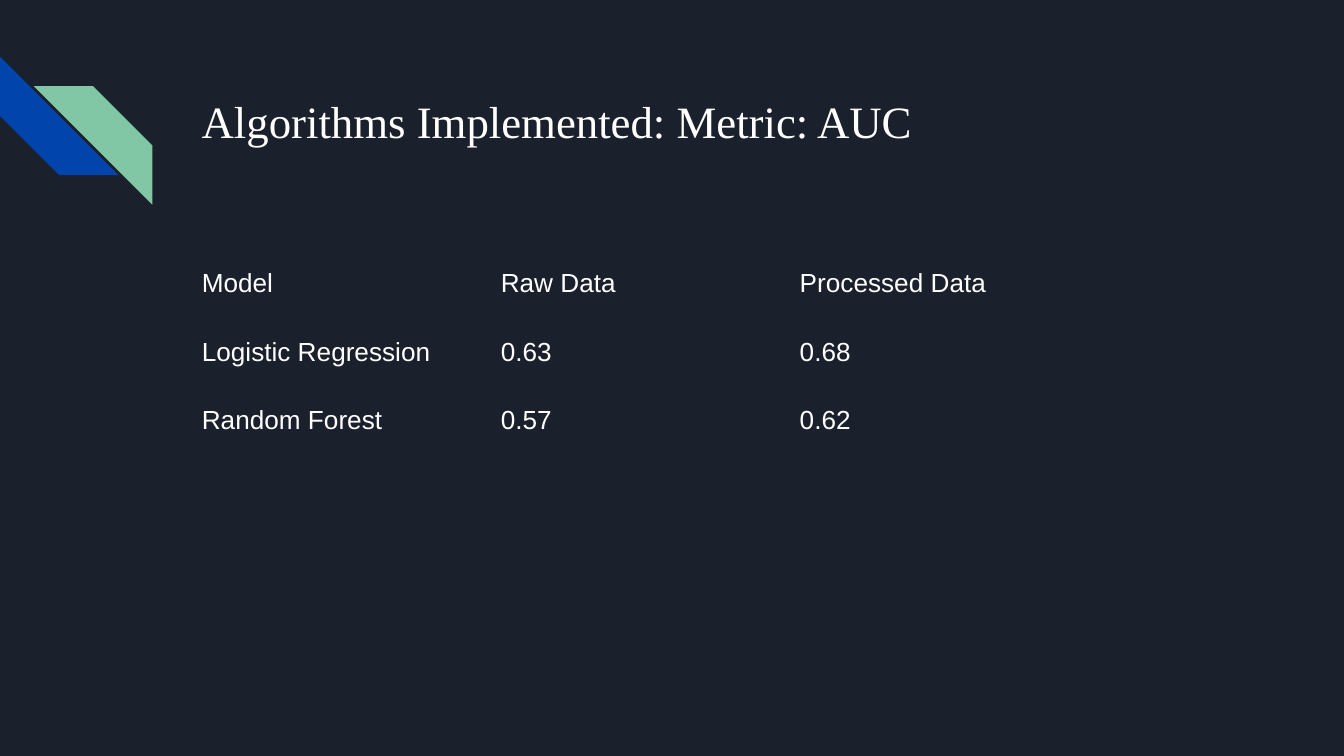
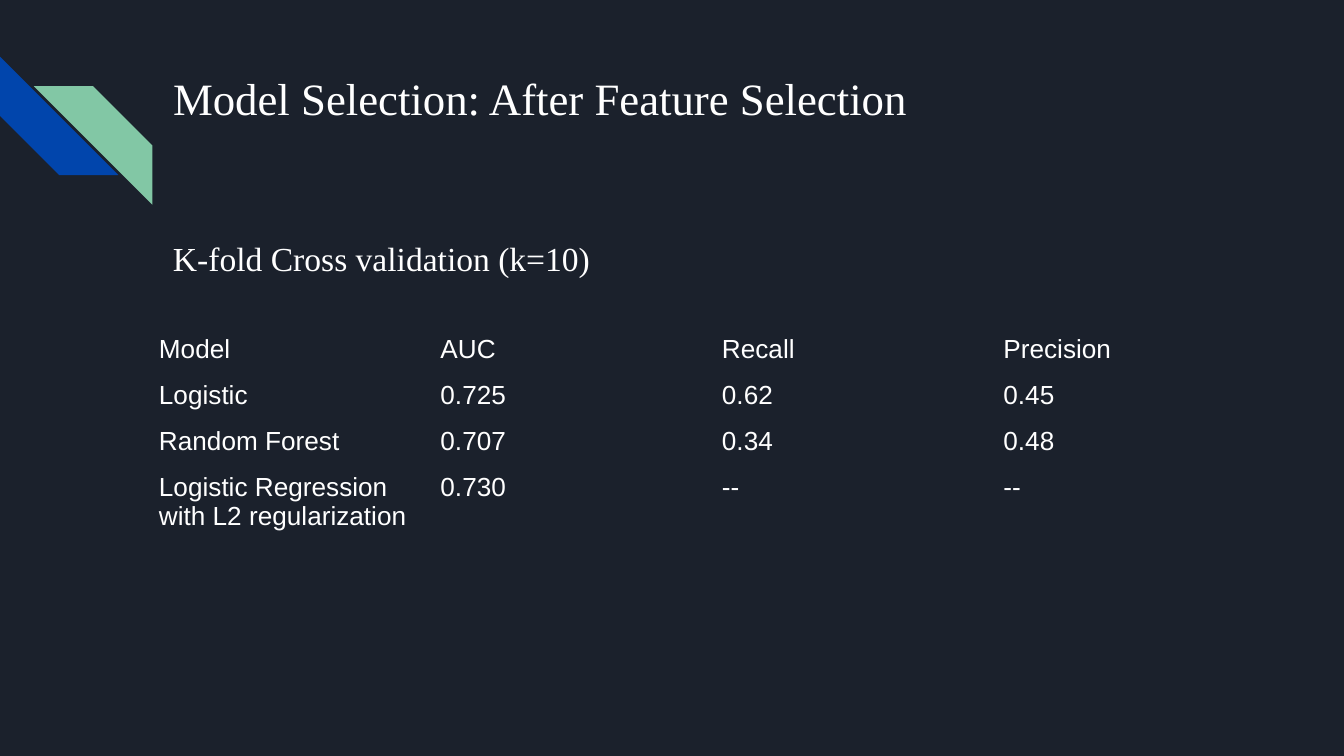
from pptx import Presentation
from pptx.dml.color import RGBColor
from pptx.enum import shapes as sh, text as tx
from pptx.oxml import parse_xml
from pptx.oxml.ns import nsdecls
from pptx.util import Cm, Pt

# Shared look
BACK, BLUE, GREEN, WHITE = "1B212C", "0145AC", "82C7A5", "FFFFFF"
SERIF, SANS = "Times New Roman", "Arial"


def paint(fmt, color):
    """Give a fill a solid colour."""
    fmt.solid()
    fmt.fore_color.rgb = RGBColor.from_string(color)


def write(frame, words, size, font):
    para = frame.paragraphs[0]
    para.alignment = tx.PP_ALIGN.LEFT
    run = para.add_run()
    run.text = words
    run.font.size = Pt(size)
    run.font.name = font
    paint(run.font.fill, WHITE)


# Corner stripes
def add_mark(slide, left, top):
    group = slide.shapes.add_group_shape()
    side = Cm(2.24)
    stripes = []
    for dx, dy, color in ((0, 0, BLUE), (0.64, 0.56, GREEN)):
        stripe = group.shapes.add_shape(
            sh.MSO_SHAPE.DIAGONAL_STRIPE, Cm(left + dx), Cm(top + dy), side, side)
        stripe.shadow.inherit = False
        paint(stripe.fill, color)
        stripe.line.fill.background()
        stripes.append(stripe)
    blue, green = stripes
    blue.rotation = 270
    green.element.spPr.xfrm.set("flipH", "1")


# Title
def add_title(slide, words, box):
    title = slide.shapes.title
    title.left, title.top, title.width, title.height = map(Cm, box)
    frame = title.text_frame
    frame.word_wrap = True
    frame.auto_size = tx.MSO_AUTO_SIZE.NONE
    frame.vertical_anchor = tx.MSO_ANCHOR.TOP
    frame.margin_left = frame.margin_right = Cm(0.25)
    frame.margin_top = frame.margin_bottom = Cm(0.25)
    write(frame, words, 24, SERIF)


# Line of text above a table
def add_note(slide, words, box):
    frame = slide.shapes.add_textbox(*map(Cm, box)).text_frame
    frame.word_wrap = True
    frame.auto_size = tx.MSO_AUTO_SIZE.SHAPE_TO_FIT_TEXT
    write(frame, words, 18, SERIF)


# Table
def add_edges(cell):
    props = cell._tc.get_or_add_tcPr()
    for at, tag in enumerate(("lnL", "lnR", "lnT", "lnB")):
        props.insert(at, parse_xml(
            f'<a:{tag} {nsdecls("a")} w="{Pt(1)}"><a:solidFill>'
            f'<a:srgbClr val="{BACK}"/></a:solidFill></a:{tag}>'))


def add_grid(slide, rows, left, top, wide, highs):
    count = len(rows[0])
    table = slide.shapes.add_table(
        len(rows), count, Cm(left), Cm(top),
        Cm(wide * count), Cm(sum(highs))).table
    table.first_row = table.horz_banding = False
    for col in table.columns:
        col.width = Cm(wide)
    for line, high, row in zip(table.rows, highs, rows):
        line.height = Cm(high)
        for cell, words in zip(line.cells, row):
            cell.fill.background()
            add_edges(cell)
            if words:
                write(cell.text_frame, words, 14, SANS)


# Slides
def new_slide(deck, title, box):
    slide = deck.slides.add_slide(deck.slide_layouts.get_by_name("Title Only"))
    paint(slide.background.fill, BACK)
    add_mark(slide, 0, 1.07)
    add_title(slide, title, box)
    return slide


def score_slide(deck):
    slide = new_slide(deck, "Algorithms Implemented: Metric: AUC",
                      (3.56, 1.52, 19.56, 2.54))
    rows = [
        ("Model", "Raw Data", "Processed Data"),
        ("Logistic Regression", "0.63", "0.68"),
        ("Random Forest", "0.57", "0.62"),
        ("", "", ""),
    ]
    add_grid(slide, rows, 3.56, 4.95, 5.65, [1.3] * 4)


def pick_slide(deck):
    slide = new_slide(deck, "Model Selection: After Feature Selection",
                      (3.02, 1.09, 19.56, 1.8))
    add_note(slide, "K-fold Cross validation (k=10)", (3.02, 4.37, 11.53, 1.02))
    rows = [
        ("Model", "AUC", "Recall", "Precision"),
        ("Logistic", "0.725", "0.62", "0.45"),
        ("Random Forest", "0.707", "0.34", "0.48"),
        ("Logistic Regression with L2 regularization", "0.730", "--", "--"),
    ]
    add_grid(slide, rows, 2.75, 6.2, 5.32, [0.87] * 3 + [1.74])


def main():
    deck = Presentation()
    deck.slide_width, deck.slide_height = Cm(25.4), Cm(14.29)
    score_slide(deck)
    pick_slide(deck)
    deck.save("out.pptx")


if __name__ == "__main__":
    main()
